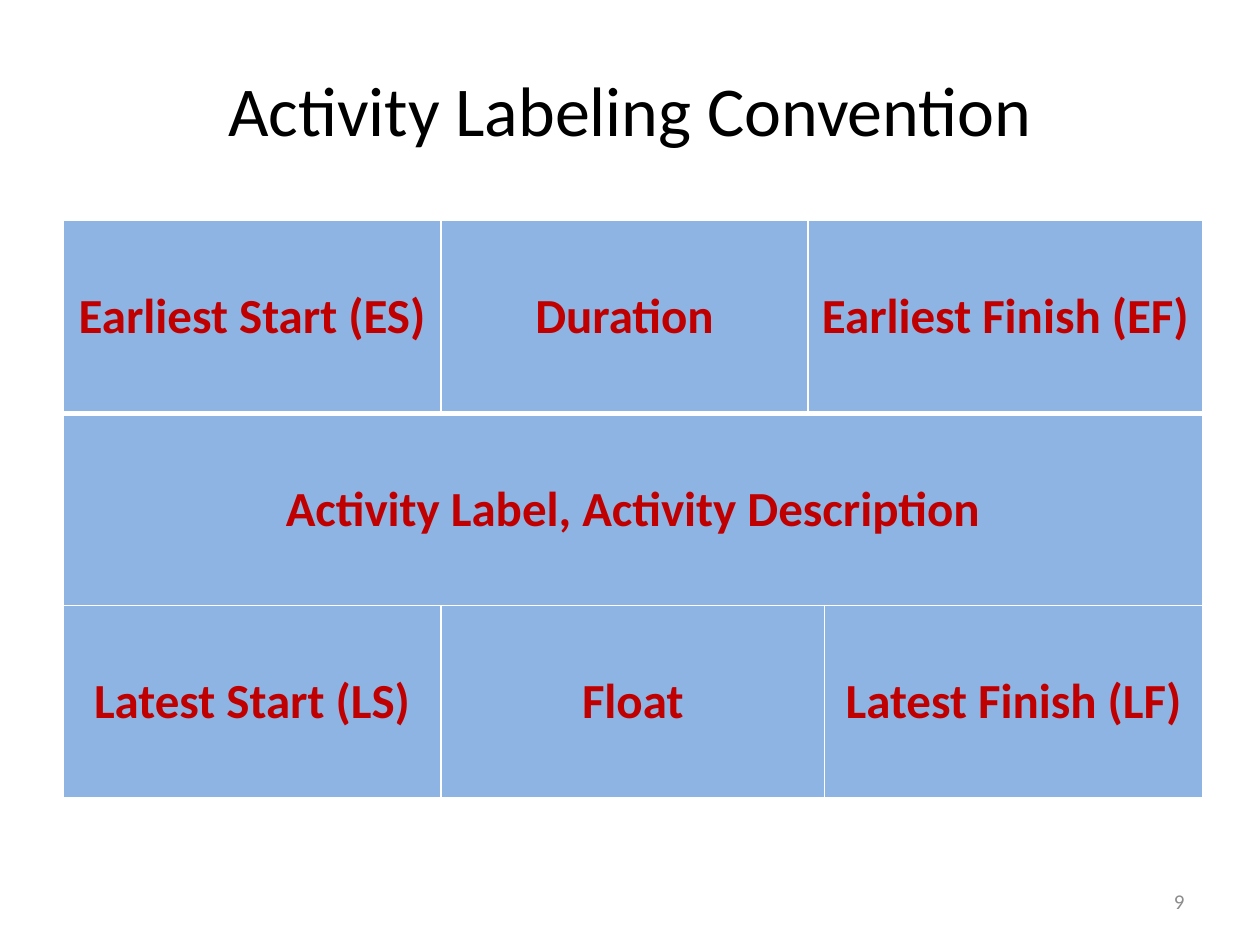
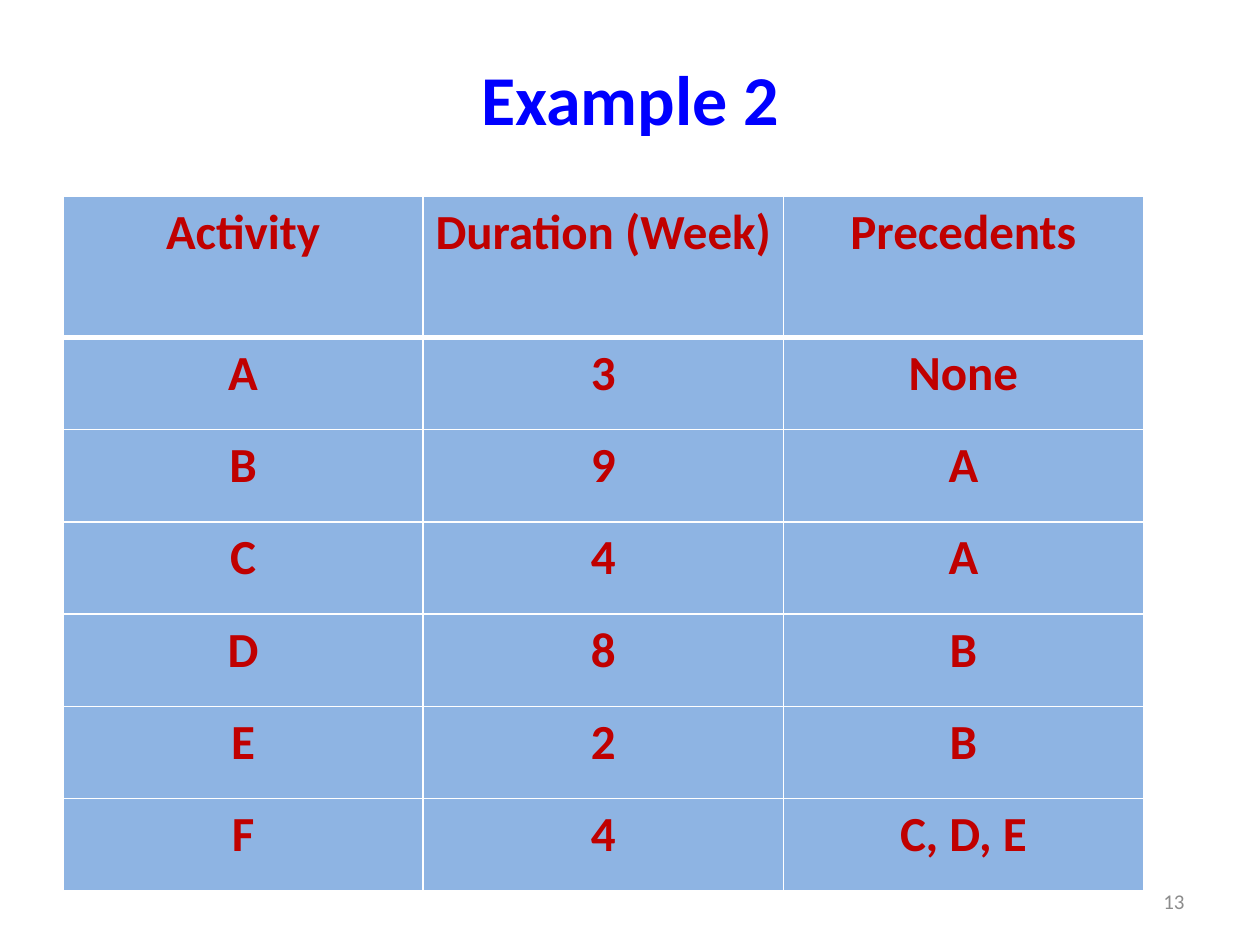
from lxml.etree import SubElement
from pptx import Presentation
from pptx.dml.color import RGBColor
from pptx.enum.text import MSO_ANCHOR, PP_ALIGN
from pptx.oxml.ns import qn
from pptx.util import Cm, Pt

FONT = "Calibri"
HUES = {
    "black": "000000",
    "blue": "0000FF",
    "red": "C00000",
    "cell": "8EB4E3",
    "rule": "FFFFFF",
    "page": "8C8C8C",
}
LEFT = 1.27
WIDTH = 22.86


def style(para, size, hue, bold=False, align=PP_ALIGN.CENTER):
    para.alignment = align
    font = para.font
    font.name, font.size, font.bold = FONT, Pt(size), bold
    font.color.rgb = RGBColor.from_string(HUES[hue])


def label(slide, box, text, size, hue, **look):
    """Add one line of text, centred vertically in box."""
    frame = slide.shapes.add_textbox(*map(Cm, box)).text_frame
    frame.word_wrap = True
    frame.vertical_anchor = MSO_ANCHOR.MIDDLE
    para = frame.paragraphs[0]
    para.text = text
    style(para, size, hue, **look)


def title(slide, text, high, hue="black", bold=False):
    label(slide, (LEFT, 0.76, WIDTH, high), text, 40, hue, bold=bold)


def footer(slide, num):
    label(slide, (18.21, 17.65, 5.92, 1.02), str(num), 12, "page",
          align=PP_ALIGN.RIGHT)


def edge(cell, side, width):
    props = cell._tc.get_or_add_tcPr()
    line = SubElement(props, qn(f"a:ln{side}"), w=str(Pt(width)))
    fill = SubElement(line, qn("a:solidFill"))
    SubElement(fill, qn("a:srgbClr"), val=HUES["rule"])


def paint(cell, row, anchor):
    """Rule and fill a cell; the line under the first row is thick."""
    widths = {"L": 1, "R": 1, "T": 3 if row == 1 else 1,
              "B": 3 if row == 0 else 1}
    for side, width in widths.items():
        edge(cell, side, width)
    cell.fill.solid()
    cell.fill.fore_color.rgb = RGBColor.from_string(HUES["cell"])
    cell.margin_left = cell.margin_right = Cm(0.2)
    cell.vertical_anchor = anchor


def grid(slide, top, cols, rows, data, anchor):
    """Add a table; None in data extends the cell to its left."""
    table = slide.shapes.add_table(
        len(rows), len(cols), Cm(LEFT), Cm(top),
        Cm(sum(cols)), Cm(sum(rows))).table
    for col, width in zip(table.columns, cols):
        col.width = Cm(width)
    for row, height in zip(table.rows, rows):
        row.height = Cm(height)
    for r, line in enumerate(data):
        start = 0
        for c, text in enumerate(line):
            cell = table.cell(r, c)
            paint(cell, r, anchor)
            if text is not None:
                start = c
                para = cell.text_frame.paragraphs[0]
                para.text = text
                style(para, 28, "red", bold=True)
            elif c + 1 == len(line) or line[c + 1] is not None:
                table.cell(r, start).merge(cell)


def labels(slide):
    title(slide, "Activity Labeling Convention", 2.84)
    data = [
        ("Earliest Start (ES)", "Duration", "Earliest Finish (EF)", None),
        ("Activity Label, Activity Description", None, None, None),
        ("Latest Start (LS)", "Float", None, "Latest Finish (LF)"),
    ]
    grid(slide, 4.45, (7.62, 7.4, 0.33, 7.62), [3.88] * 3, data,
         MSO_ANCHOR.MIDDLE)
    footer(slide, 9)


def example(slide):
    title(slide, "Example 2", 2.41, "blue", True)
    data = [
        ("Activity", "Duration (Week)", "Precedents"),
        ("A", "3", "None"),
        ("B", "9", "A"),
        ("C", "4", "A"),
        ("D", "8", "B"),
        ("E", "2", "B"),
        ("F", "4", "C, D, E"),
    ]
    grid(slide, 3.96, [7.26] * 3, [2.84] + [1.86] * 6, data, MSO_ANCHOR.TOP)
    footer(slide, 13)


def main():
    deck = Presentation()
    deck.slide_width, deck.slide_height = Cm(25.4), Cm(19.05)
    for build in (labels, example):
        build(deck.slides.add_slide(deck.slide_layouts[6]))
    deck.save("out.pptx")


if __name__ == "__main__":
    main()
